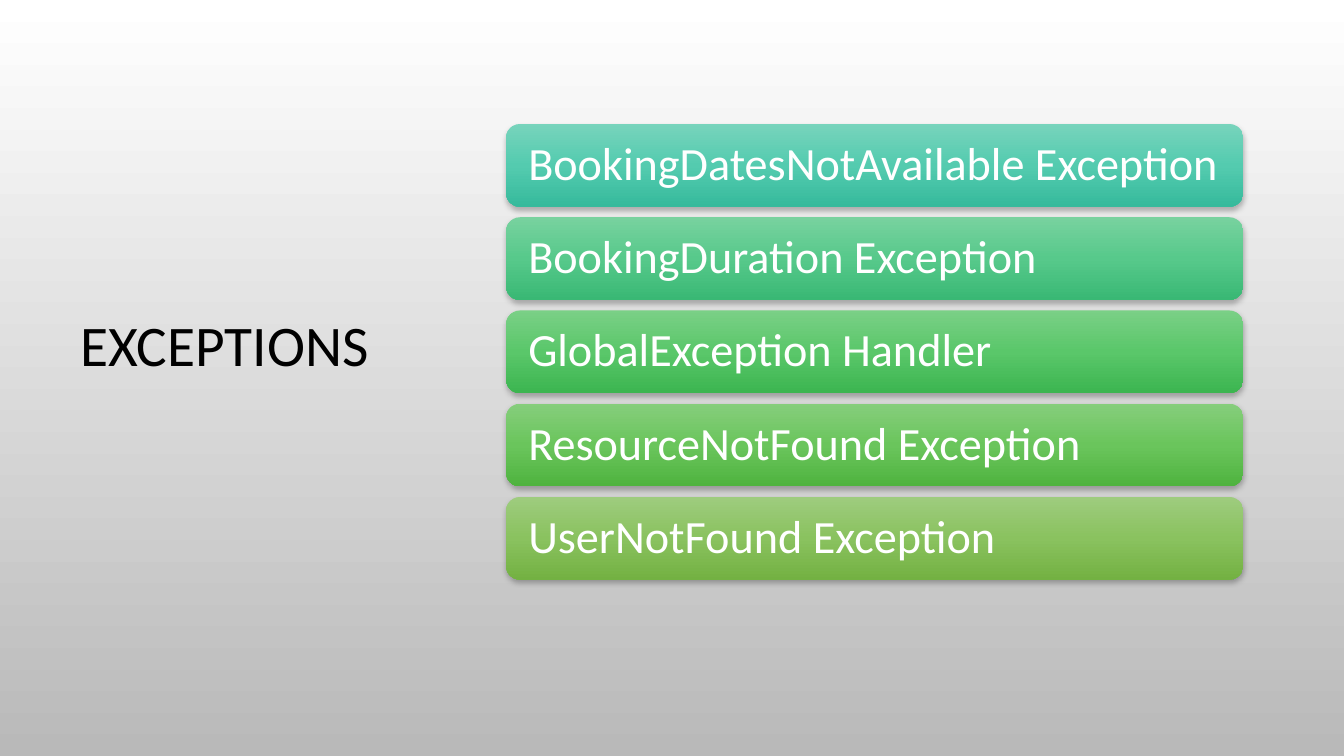
from copy import deepcopy

from pptx import Presentation
from pptx import util as u
from pptx.dml.color import RGBColor
from pptx.enum import shapes, text
from pptx.oxml import parse_xml
from pptx.oxml.ns import nsdecls, qn

COLORS = {
    "title": "000000",
    "label": "FFFFFF",
    "shadow": "000000",
    "background": ["FFFFFF", "B9B9B9"],
    "teal": ["77D4BC", "54CBAF", "36BA9C"],
    "mint": ["78D29F", "57C98B", "39B874"],
    "green": ["7AD086", "5AC76A", "3CB550"],
    "leaf": ["86CE7C", "6AC55C", "4FB33F"],
    "olive": ["9ECC7E", "8AC25F", "73B142"],
}

EXCEPTIONS = [
    ("BookingDatesNotAvailable Exception", "teal"),
    ("BookingDuration Exception", "mint"),
    ("GlobalException Handler", "green"),
    ("ResourceNotFound Exception", "leaf"),
    ("UserNotFound Exception", "olive"),
]


class Deck:
    font = "Calibri"

    def __init__(self, width, height):
        self.prs = Presentation()
        self.prs.slide_width = u.Inches(width)
        self.prs.slide_height = u.Inches(height)
        self.s = self.prs.slides.add_slide(self.prs.slide_layouts[5])

    def gradient(self, fill, element, color):
        fill.gradient()
        fill.gradient_angle = 270
        gs_list = next(element.iter(qn("a:gsLst")))
        hexes = COLORS[color]
        for _ in hexes[2:]:
            gs_list.append(deepcopy(gs_list[-1]))
        for i, (stop, value) in enumerate(zip(fill.gradient_stops, hexes)):
            stop.position = i / (len(hexes) - 1)
            stop.color.rgb = RGBColor.from_string(value)

    def background(self, color):
        self.gradient(self.s.background.fill, self.s.element, color)

    def label(self, sp, words, size, color, margin):
        tf = sp.text_frame
        frame = {
            "word_wrap": True,
            "auto_size": text.MSO_AUTO_SIZE.NONE,
            "vertical_anchor": text.MSO_ANCHOR.MIDDLE,
            "margin_left": u.Inches(margin),
            "margin_right": u.Inches(margin),
        }
        for name, value in frame.items():
            setattr(tf, name, value)
        p = tf.paragraphs[0]
        p.alignment = text.PP_ALIGN.LEFT
        p.line_spacing = 0.9
        r = p.add_run()
        r.text = words
        for name, value in {"name": self.font, "size": u.Pt(size)}.items():
            setattr(r.font, name, value)
        r.font.color.rgb = RGBColor.from_string(COLORS[color])

    def title(self, words, left, top, width, height):
        sp = self.s.shapes.title
        box = {"left": left, "top": top, "width": width, "height": height}
        for name, value in box.items():
            setattr(sp, name, u.Inches(value))
        self.label(sp, words, 41, "title", 0.1)

    def bar(self, words, color, left, top, width, height):
        sp = self.s.shapes.add_shape(
            shapes.MSO_SHAPE.ROUNDED_RECTANGLE,
            *map(u.Inches, (left, top, width, height)))
        self.gradient(sp.fill, sp.element, color)
        sp.line.fill.background()
        self.shadow(sp)
        self.label(sp, words, 33, "label", 0.18)

    def shadow(self, sp):
        sp.shadow.inherit = False
        effects = next(sp.element.iter(qn("a:effectLst")))
        effects.append(parse_xml(
            f'<a:outerShdw {nsdecls("a")} blurRad="{u.Pt(4)}" dist="{u.Pt(2)}" '
            f'dir="5400000" algn="ctr" rotWithShape="0">'
            f'<a:srgbClr val="{COLORS["shadow"]}"><a:alpha val="28000"/></a:srgbClr>'
            f'</a:outerShdw>'))


def main():
    deck = Deck(13.33, 7.5)
    deck.background("background")
    deck.title("EXCEPTIONS", 0.7, 1.44, 3.11, 4.02)
    first, last = 1.23, 4.93
    pitch = (last - first) / (len(EXCEPTIONS) - 1)
    for i, (words, color) in enumerate(EXCEPTIONS):
        deck.bar(words, color, 5.02, first + i * pitch, 7.31, 0.82)
    deck.prs.save("out.pptx")


if __name__ == "__main__":
    main()
